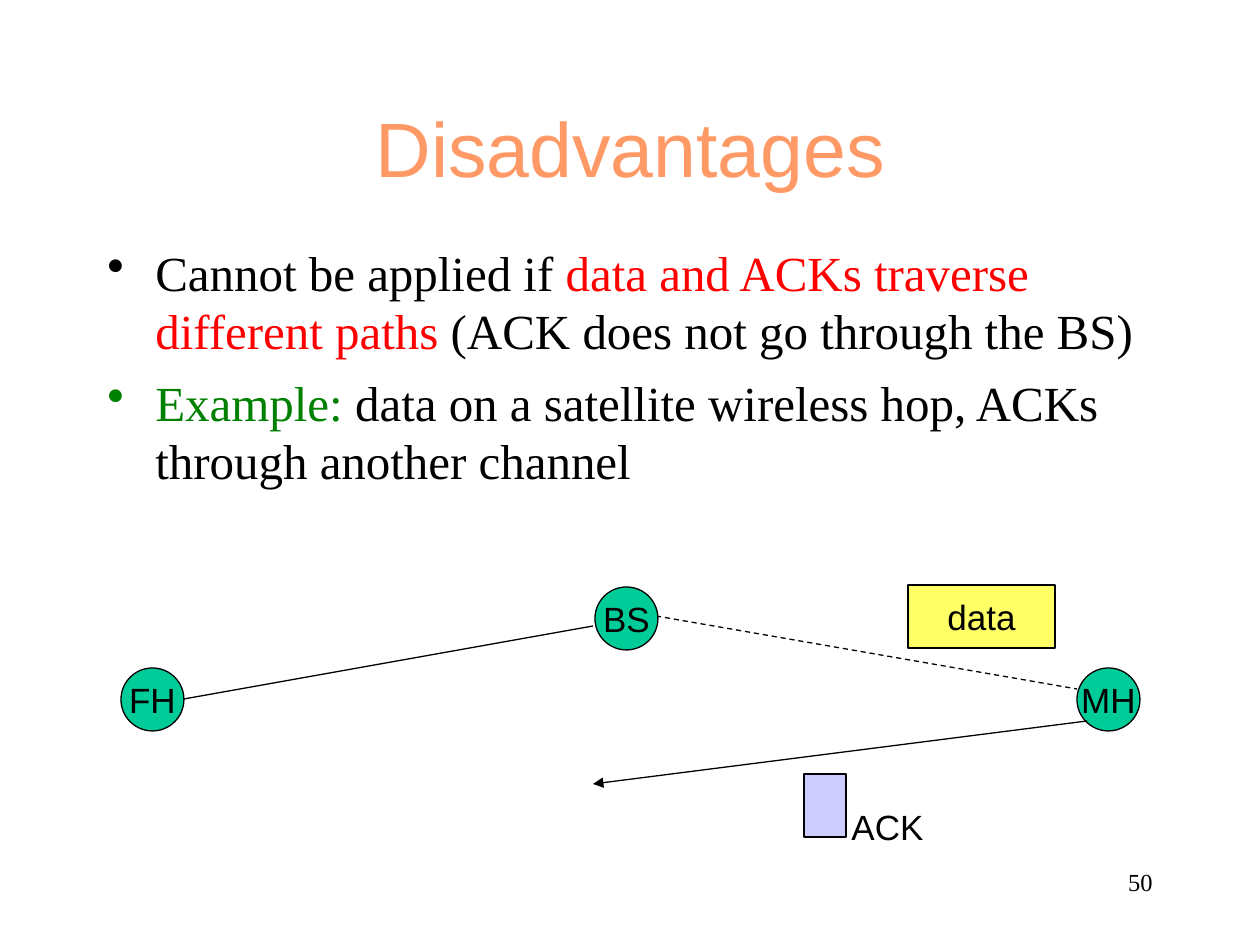
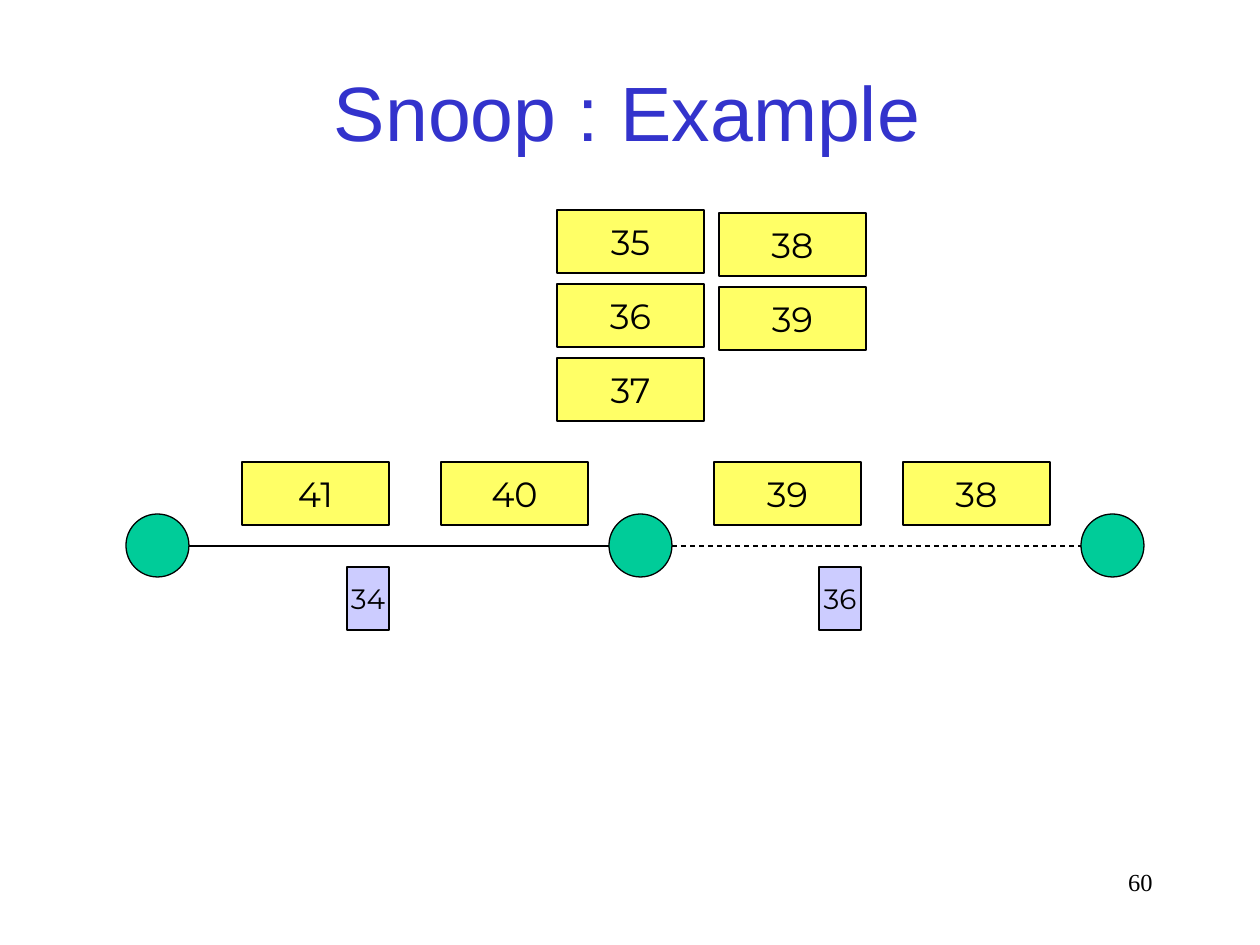
from dataclasses import dataclass

from lxml import etree
from pptx import Presentation
from pptx.dml.color import RGBColor
from pptx.enum.dml import MSO_LINE
from pptx.enum.shapes import MSO_CONNECTOR, MSO_SHAPE
from pptx.enum.text import MSO_ANCHOR, PP_ALIGN
from pptx.oxml.ns import qn
from pptx.util import Emu, Pt

CENTER, RIGHT = PP_ALIGN.CENTER, PP_ALIGN.RIGHT
TOP, MIDDLE = MSO_ANCHOR.TOP, MSO_ANCHOR.MIDDLE
OVAL, RECT = MSO_SHAPE.OVAL, MSO_SHAPE.RECTANGLE
STRAIGHT, DASH = MSO_CONNECTOR.STRAIGHT, MSO_LINE.DASH
SCALE = 914400 / 126  # EMU in one px


@dataclass(frozen=True)
class Theme:
    black: str = "000000"
    red: str = "FF0000"
    green: str = "008000"
    coral: str = "FF9966"
    blue: str = "3333CC"
    node: str = "00CC99"
    data: str = "FFFF66"
    ack: str = "CCCCFF"
    sans: str = "Arial"
    serif: str = "Times New Roman"
    digit: str = "Montserrat"
    title: int = 44
    body: int = 28
    label: int = 20
    small: int = 16
    page: int = 14
    line: float = 0.75


T = Theme()
NODE = 63
DATA = (147, 63)
ACK = (42, 63)


def px(*values):
    return [Emu(round(v * SCALE)) for v in values]


def rgb(code):
    return RGBColor.from_string(code)


def apply(target, form):
    for key, value in form.items():
        setattr(target, key, value)


def add_run(para, text, font, size, color=T.black):
    run = para.add_run()
    run.text = text
    apply(run.font, {"name": font, "size": Pt(size)})
    run.font.color.rgb = rgb(color)


def write(shape, text, font, size, color=T.black, align=CENTER,
          anchor=MIDDLE, wrap=False):
    frame = shape.text_frame
    apply(frame, {"word_wrap": wrap, "vertical_anchor": anchor})
    para = frame.paragraphs[0]
    para.alignment = align
    add_run(para, text, font, size, color)


def add_text(slide, box, *args, **form):
    write(slide.shapes.add_textbox(*px(*box)), *args, **form)


def add_box(slide, kind, box, fill, text="", font=T.sans, size=T.label):
    shape = slide.shapes.add_shape(kind, *px(*box))
    shape.shadow.inherit = False
    shape.fill.solid()
    shape.fill.fore_color.rgb = rgb(fill)
    shape.line.color.rgb = rgb(T.black)
    shape.line.width = Pt(T.line)
    if text:
        write(shape, text, font, size)


def add_node(slide, x, y, text=""):
    add_box(slide, OVAL, (x, y, NODE, NODE), T.node, text)


def add_data(slide, x, y, text, font=T.digit):
    add_box(slide, RECT, (x, y, *DATA), T.data, text, font)


def add_ack(slide, x, y, text=""):
    add_box(slide, RECT, (x, y, *ACK), T.ack, text, T.digit, T.small)


def add_link(slide, start, end, dash=None, arrow=False):
    """Draw a line; an arrow points at its start."""
    link = slide.shapes.add_connector(STRAIGHT, *px(*start, *end))
    link.line.color.rgb = rgb(T.black)
    apply(link.line, {"width": Pt(T.line), "dash_style": dash})
    props = link.line._get_or_add_ln()
    if arrow:
        etree.SubElement(props, qn("a:headEnd"), type="triangle")
    etree.SubElement(props.getparent(), qn("a:effectLst"))


def add_list(slide, box, items):
    """Each item is a bullet colour and its (text, colour) parts."""
    frame = slide.shapes.add_textbox(*px(*box)).text_frame
    frame.word_wrap = True
    for i, (color, parts) in enumerate(items):
        para = frame.add_paragraph() if i else frame.paragraphs[0]
        para.space_before = Pt(7)
        props = para._p.get_or_add_pPr()
        indent = px(48)[0]
        props.set("marL", str(indent))
        props.set("indent", str(-indent))
        tint = etree.SubElement(props, qn("a:buClr"))
        etree.SubElement(tint, qn("a:srgbClr"), val=color)
        etree.SubElement(props, qn("a:buChar"), char="•")
        for text, shade in parts:
            add_run(para, text, T.serif, T.body, shade)


def add_slide(deck, title, box, color, page):
    slide = deck.slides.add_slide(deck.slide_layouts[6])
    add_text(slide, (903, 861, 262, 63), page, T.serif, T.page,
             align=RIGHT, anchor=TOP, wrap=True)
    add_text(slide, box, title, T.sans, T.title, color, wrap=True)
    return slide


def draw_limits(deck):
    slide = add_slide(deck, "Disadvantages", (95, 84, 1071, 125),
                      T.coral, "50")
    add_list(slide, (95, 236, 1071, 304), [
        (T.black, [("Cannot be applied if ", T.black),
                   ("data and ACKs traverse different paths", T.red),
                   (" (ACK does not go through the BS)", T.black)]),
        (T.green, [("Example:", T.green),
                   (" data on a satellite wireless hop, ACKs through "
                    "another channel", T.black)]),
    ])
    for x, text in ((121, "FH"), (1077, "MH")):
        add_node(slide, x, 668, text)
    add_data(slide, 908, 585, "data", T.sans)
    add_ack(slide, 804, 774)
    add_link(slide, (184, 699), (593, 626))
    add_link(slide, (593, 784), (1087, 721), arrow=True)
    add_link(slide, (656, 616), (1077, 689), dash=DASH)
    add_text(slide, (839, 799, 97, 55), "ACK", T.sans, T.label)
    add_node(slide, 595, 587, "BS")


def draw_snoop(deck):
    slide = add_slide(deck, "Snoop : Example", (92, 32, 1071, 158),
                      T.blue, "60")
    hosts = (126, 609, 1081)
    for x in hosts:
        add_node(slide, x, 514)
    for left, right, dash in zip(hosts, hosts[1:], (None, DASH)):
        add_link(slide, (left + NODE, 546), (right, 546), dash)
    for x, text in ((242, "41"), (441, "40"), (714, "39"), (903, "38")):
        add_data(slide, x, 462, text)
    for x, text in ((347, "34"), (819, "36")):
        add_ack(slide, x, 567, text)
    for x, top, cache in ((557, 210, ("35", "36", "37")),
                          (719, 213, ("38", "39"))):
        for row, text in enumerate(cache):
            add_data(slide, x, top + 74 * row, text)


def main():
    deck = Presentation()
    deck.slide_width, deck.slide_height = px(1260, 945)
    draw_limits(deck)
    draw_snoop(deck)
    deck.save("out.pptx")


if __name__ == "__main__":
    main()
